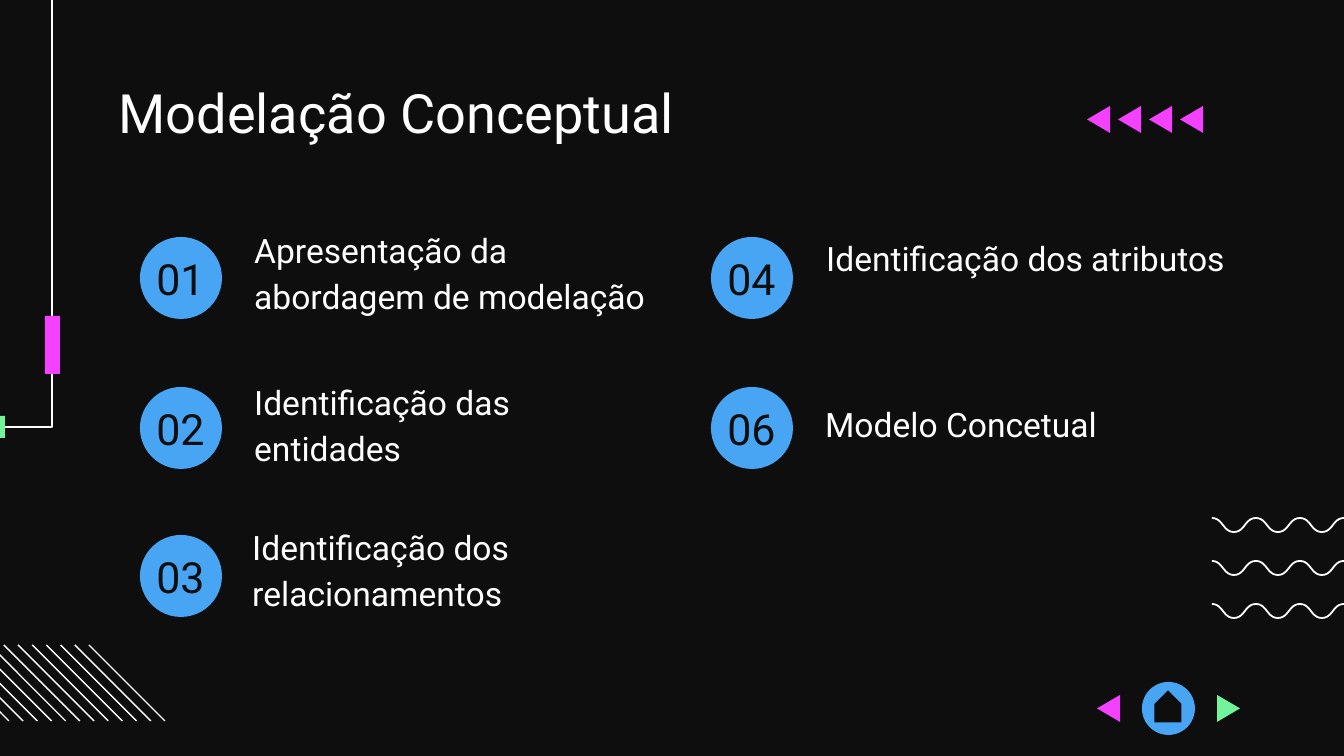
from dataclasses import dataclass

from lxml import etree
from pptx import Presentation
from pptx import util as u
from pptx.dml.color import RGBColor
from pptx.enum import shapes, text
from pptx.oxml.ns import qn

EMU_PER_PX = 914400 / 134.4


@dataclass(frozen=True)
class Theme:
    font: str = "Roboto"
    dark: str = "0E0E0E"
    white: str = "FFFFFF"
    blue: str = "47A5F3"
    pink: str = "F341FF"
    green: str = "72F49A"
    title_size: int = 29
    number_size: int = 23
    topic_size: int = 18
    thin: float = 0.75
    wave: float = 0.95


THEME = Theme()

# Number, topic, circle position (left, top), topic box (left, top, width, height)
TOPICS = [
    ("01", "Apresentação da abordagem de modelação", (140, 237), (241, 224, 425, 108)),
    ("02", "Identificação das entidades", (140, 387), (241, 376, 425, 108)),
    ("03", "Identificação dos relacionamentos", (140, 535), (239, 521, 462, 109)),
    ("04", "Identificação dos atributos", (711, 237), (813, 232, 448, 101)),
    ("06", "Modelo Concetual", (711, 387), (812, 398, 425, 52)),
]


def px(value):
    return u.Emu(round(value * EMU_PER_PX))


def color(code):
    return RGBColor.from_string(code)


def paint(shape, fill):
    shape.shadow.inherit = False
    shape.fill.solid()
    shape.fill.fore_color.rgb = color(fill)
    shape.line.fill.background()


def add_preset(slide, kind, box, fill):
    shape = slide.shapes.add_shape(kind, *map(px, box))
    paint(shape, fill)
    return shape


def add_outline(slide, points, close):
    points = [(px(x), px(y)) for x, y in points]
    builder = slide.shapes.build_freeform(*points[0], scale=1.0)
    builder.add_line_segments(points[1:], close=close)
    return builder.convert_to_shape()


def add_polyline(slide, points, width):
    shape = add_outline(slide, points, close=False)
    shape.shadow.inherit = False
    shape.fill.background()
    shape.line.color.rgb = color(THEME.white)
    shape.line.width = u.Pt(width)


def add_triangle(slide, left, top, fill, points_left=True):
    width, height = 23, 27
    base, tip = (left + width, left) if points_left else (left, left + width)
    points = [(base, top), (tip, top + height / 2), (base, top + height)]
    paint(add_outline(slide, points, close=True), fill)


def add_line(slide, start, end):
    line = slide.shapes.add_connector(
        shapes.MSO_CONNECTOR.STRAIGHT, *map(px, start + end))
    line.line.color.rgb = color(THEME.white)
    line.line.width = u.Pt(THEME.thin)
    etree.SubElement(line._element.spPr, qn("a:effectLst"))


def write(shape, box, wording, size, ink, top_inset=0,
          align=text.PP_ALIGN.LEFT, spacing=1.0):
    shape.left, shape.top, shape.width, shape.height = map(px, box)
    frame = shape.text_frame
    frame.word_wrap = True
    frame.auto_size = text.MSO_AUTO_SIZE.NONE
    frame.vertical_anchor = text.MSO_ANCHOR.TOP
    frame.margin_left = frame.margin_right = frame.margin_bottom = u.Inches(0.1)
    frame.margin_top = u.Inches(top_inset)
    frame.text = wording
    paragraph = frame.paragraphs[0]
    paragraph.alignment = align
    paragraph.line_spacing = spacing
    paragraph.font.name = THEME.font
    paragraph.font.size = u.Pt(size)
    paragraph.font.color.rgb = color(ink)


def add_text(slide, box, *content, **style):
    write(slide.shapes.add_textbox(*map(px, box)), box, *content, **style)


def add_wave(slide, left, top):
    half_period, height, halves, steps = 22, 14, 7, 12
    points = []
    for index in range(halves * steps + 1):
        half, step = divmod(index, steps)
        t = step / steps
        along = 1.5 * t - 1.5 * t ** 2 + t ** 3
        drop = 3 * t ** 2 - 2 * t ** 3
        if half % 2:
            drop = 1 - drop
        points.append((left + half_period * (half + along), top + height * drop))
    add_polyline(slide, points, THEME.wave)


def add_decoration(slide):
    # Waves on the right
    for row in range(3):
        add_wave(slide, 1212, 518 + 43 * row)
    # Diagonal stripes at the bottom left
    stripes, span = 12, 156
    for index in range(stripes):
        left = -67 + span * index / (stripes - 1)
        add_line(slide, (left, 645), (left + 76, 721))
    # Corner line with its two markers
    add_polyline(slide, [(-528, 427), (52, 427), (52, -30)], THEME.thin)
    add_preset(slide, shapes.MSO_SHAPE.RECTANGLE, (-16, 416, 21, 22), THEME.green)
    add_preset(slide, shapes.MSO_SHAPE.RECTANGLE, (45, 316, 15, 58), THEME.pink)
    # Row of triangles beside the title
    for index in range(4):
        add_triangle(slide, 1087 + 31 * index, 106, THEME.pink)


def add_topic(slide, number, wording, circle, box):
    left, top = circle
    add_preset(slide, shapes.MSO_SHAPE.OVAL, (left, top, 82, 82), THEME.blue)
    add_text(slide, (left - 20, top - 11, 121, 82), number, THEME.number_size,
             THEME.dark, top_inset=0.2, align=text.PP_ALIGN.CENTER)
    add_text(slide, box, wording, THEME.topic_size, THEME.white, spacing=1.15)


def add_navigation(slide):
    add_triangle(slide, 1097, 695, THEME.pink)
    add_preset(slide, shapes.MSO_SHAPE.OVAL, (1142, 682, 53, 53), THEME.blue)
    home = add_preset(slide, shapes.MSO_SHAPE.PENTAGON, (1152, 693, 32, 27), THEME.dark)
    home.rotation = 270
    add_triangle(slide, 1217, 695, THEME.green, points_left=False)


def main():
    presentation = Presentation()
    presentation.slide_width, presentation.slide_height = px(1344), px(756)
    slide = presentation.slides.add_slide(presentation.slide_layouts[5])
    slide.background.fill.solid()
    slide.background.fill.fore_color.rgb = color(THEME.dark)

    add_decoration(slide)
    write(slide.shapes.title, (105, 79, 1134, 62), "Modelação Conceptual",
          THEME.title_size, THEME.white)
    for topic in TOPICS:
        add_topic(slide, *topic)
    add_navigation(slide)
    presentation.save("out.pptx")


if __name__ == "__main__":
    main()
